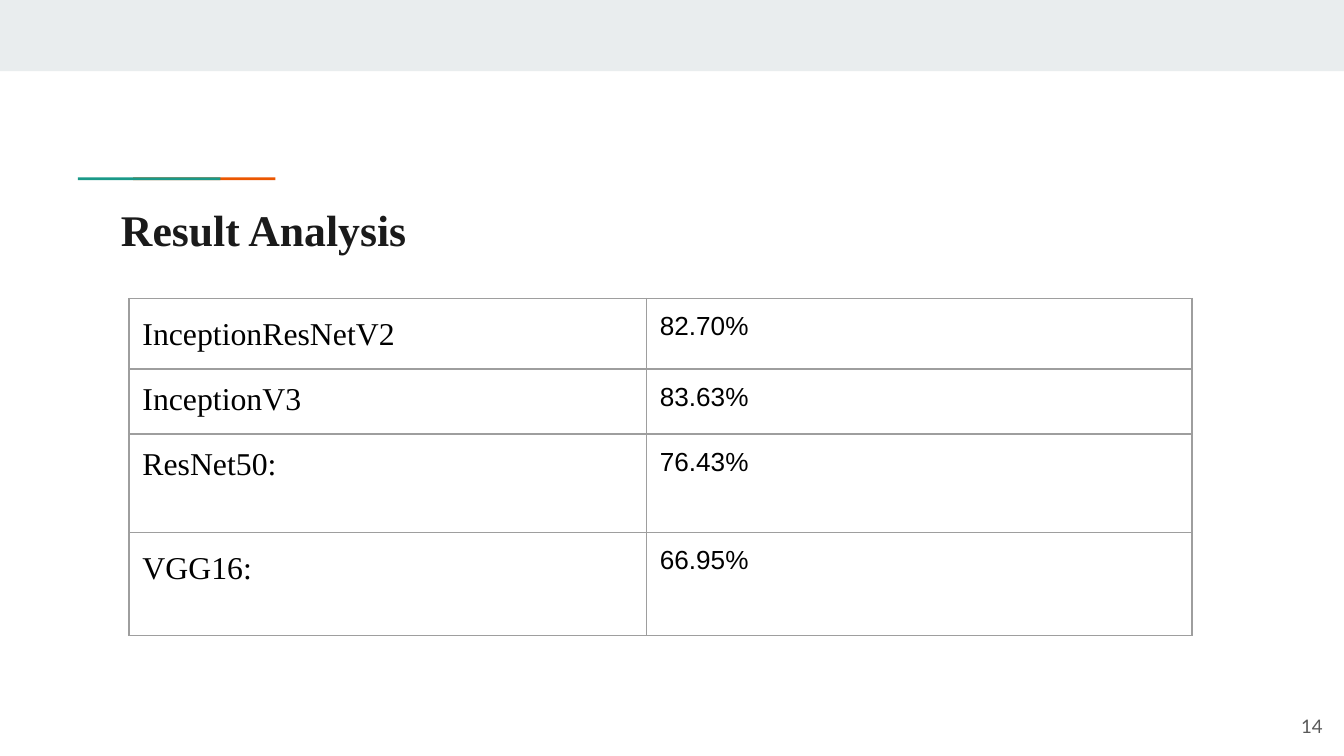
from lxml import etree
from pptx import Presentation
from pptx.dml.color import RGBColor
from pptx.enum import shapes, text
from pptx.oxml.ns import qn
from pptx.util import Inches, Pt

SERIF = "Times New Roman"
# model, accuracy, row height, line spacing of the model name
RESULTS = [
    ("InceptionResNetV2", "82.70%", 0.5, 1.15),
    ("InceptionV3", "83.63%", 0.46, 1),
    ("ResNet50:", "76.43%", 0.73, 1),
    ("VGG16:", "66.95%", 0.77, 1.15),
]


def color(hex_value):
    return RGBColor.from_string(hex_value)


def write(frame, content, size, font, ink="000000", bold=False,
          align=text.PP_ALIGN.LEFT, spacing=1):
    """Fill the first paragraph; its end mark gets the same size and font."""
    paragraph = frame.paragraphs[0]
    paragraph.alignment = align
    paragraph.line_spacing = spacing
    run = paragraph.add_run()
    run.text = content
    run.font.size = Pt(size)
    run.font.name = font
    run.font.bold = bold
    run.font.color.rgb = color(ink)
    end_mark = etree.SubElement(
        paragraph._p, qn("a:endParaRPr"), sz=str(round(size * 100)))
    etree.SubElement(end_mark, qn("a:latin"), typeface=font)


def set_margins(holder, margin=0.1):
    holder.margin_left = holder.margin_right = Inches(margin)
    holder.margin_top = holder.margin_bottom = Inches(margin)


def add_bar(slide, left, top, width, height, fill):
    bar = slide.shapes.add_shape(
        shapes.MSO_SHAPE.RECTANGLE,
        Inches(left), Inches(top), Inches(width), Inches(height))
    bar.shadow.inherit = False
    bar.fill.solid()
    bar.fill.fore_color.rgb = color(fill)
    bar.line.fill.background()


def add_title(slide, content):
    title = slide.shapes.title
    title.left, title.top = Inches(0.8), Inches(1.41)
    title.width, title.height = Inches(8.41), Inches(0.59)
    frame = title.text_frame
    frame.auto_size = text.MSO_AUTO_SIZE.NONE
    frame.vertical_anchor = text.MSO_ANCHOR.TOP
    set_margins(frame)
    write(frame, content, 23.4, SERIF, ink="1A1A1A", bold=True)


def add_page_number(slide, number):
    box = slide.shapes.add_textbox(
        Inches(9.34), Inches(5.19), Inches(0.6), Inches(0.43))
    frame = box.text_frame
    frame.word_wrap = True
    frame.vertical_anchor = text.MSO_ANCHOR.MIDDLE
    set_margins(frame)
    write(frame, number, 10, "Lato", ink="595959", align=text.PP_ALIGN.RIGHT)


def outline_cell(cell, ink, width):
    """Draw all four borders; they must precede the fill in the cell XML."""
    properties = cell._tc.get_or_add_tcPr()
    for index, side in enumerate(("a:lnL", "a:lnR", "a:lnT", "a:lnB")):
        border = etree.Element(qn(side), w=str(Pt(width)))
        fill = etree.SubElement(border, qn("a:solidFill"))
        etree.SubElement(fill, qn("a:srgbClr"), val=ink)
        properties.insert(index, border)


def add_results_table(slide, results):
    widths = (3.85, 4.06)
    height = sum(result[2] for result in results)
    table = slide.shapes.add_table(
        len(results), len(widths), Inches(0.96), Inches(2.22),
        Inches(sum(widths)), Inches(height)).table
    table.first_row = table.horz_banding = False
    for column, width in zip(table.columns, widths):
        column.width = Inches(width)
    for row, (model, accuracy, row_height, spacing) in zip(table.rows, results):
        row.height = Inches(row_height)
        name_cell, accuracy_cell = row.cells
        write(name_cell.text_frame, model, 17, SERIF, spacing=spacing)
        write(accuracy_cell.text_frame, accuracy, 14, "Arial")
        for cell in (name_cell, accuracy_cell):
            set_margins(cell)
            cell.fill.background()
            outline_cell(cell, "9E9E9E", 0.75)


def main():
    deck = Presentation()
    deck.slide_width = Inches(10)
    deck.slide_height = deck.slide_width * 9 // 16
    slide = deck.slides.add_slide(deck.slide_layouts[5])
    add_bar(slide, 0, 0, 10, 0.53, "E9EDEE")
    for left, fill in ((0.99, "EB5600"), (0.58, "1A9988")):
        add_bar(slide, left, 1.32, 1.06, 0.02, fill)
    add_title(slide, "Result Analysis")
    add_page_number(slide, "14")
    add_results_table(slide, RESULTS)
    deck.save("out.pptx")


if __name__ == "__main__":
    main()
